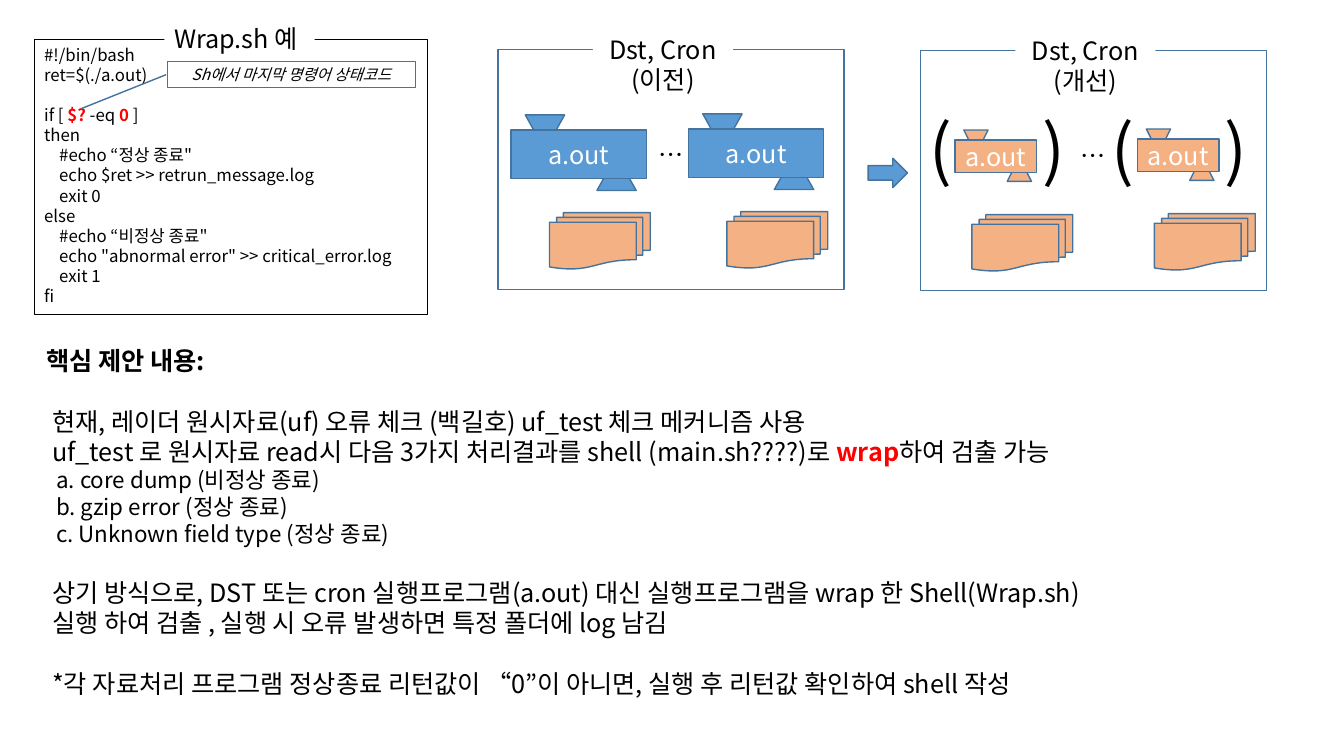
"""Build a slide on wrapping radar programs in a shell script to detect errors."""
from dataclasses import dataclass

from lxml.etree import SubElement
from pptx import Presentation
from pptx.dml.color import RGBColor
from pptx.enum.shapes import MSO_SHAPE
from pptx.enum.text import MSO_ANCHOR, MSO_AUTO_SIZE, PP_ALIGN
from pptx.oxml.ns import qn
from pptx.util import Inches, Pt


@dataclass(frozen=True)
class Theme:
    font: str = "Noto Sans CJK KR"
    black: str = "000000"
    white: str = "FFFFFF"
    red: str = "FF0000"
    blue: str = "5B9BD5"
    orange: str = "F4B183"
    outline: str = "43739E"
    code: float = 12
    note: float = 11
    item: float = 16
    body: float = 18
    bracket: float = 48
    leading: float = 1.2


@dataclass(frozen=True)
class Line:
    spans: tuple
    size: float
    indent: float = 0
    gap: bool = False
    bold: bool = False
    italic: bool = False
    color: str = Theme.black


@dataclass(frozen=True)
class Strong:
    text: str


THEME = Theme()

CODE = [
    ("#!/bin/bash",),
    ("ret=$(./a.out)",),
    ("if [ ", Strong("$?"), " -eq ", Strong("0"), " ]"),
    ("then",),
    ("    #echo “정상 종료\"",),
    ("    echo $ret >> retrun_message.log",),
    ("    exit 0",),
    ("else",),
    ("    #echo “비정상 종료\"",),
    ("    echo \"abnormal error\" >> critical_error.log",),
    ("    exit 1",),
    ("fi",),
]
CODE_GAP_BEFORE = 2

HEADING = "핵심 제안 내용:"
BODY = [
    (("현재, 레이더 원시자료(uf) 오류 체크 (백길호) uf_test 체크 메커니즘 사용",), True),
    (("uf_test 로 원시자료 read시 다음 3가지 처리결과를 shell (main.sh????)로 ",
      Strong("wrap"), "하여 검출 가능"), False),
    ("a. core dump (비정상 종료)", "b. gzip error (정상 종료)",
     "c. Unknown field type (정상 종료)"),
    (("상기 방식으로, DST 또는 cron 실행프로그램(a.out) 대신 실행프로그램을 wrap 한 Shell(Wrap.sh)",), True),
    (("실행 하여 검출 , 실행 시 오류 발생하면 특정 폴더에 log 남김",), False),
    (("*각 자료처리 프로그램 정상종료 리턴값이 “0”이 아니면, 실행 후 리턴값 확인하여 shell 작성",), True),
]
BODY_INDENT, ITEM_INDENT = 0.06, 0.1

PANELS = [("Dst, Cron (이전)", 4.94, 0.49), ("Dst, Cron (개선)", 9.13, 0.5)]

LARGE = {"size": (1.34, 0.48), "funnel": (0.39, 0.35), "inlet": (0.14, -0.15),
         "outlet": (0.85, 0.25), "pages": (0.38, 0.82), "fill": THEME.blue}
SMALL = {"size": (0.81, 0.32), "funnel": (0.24, 0.24), "inlet": (0.09, -0.1),
         "outlet": (0.52, 0.17), "pages": (0.17, 0.74), "fill": THEME.orange}
PROGRAMS = [(6.83, 1.28, LARGE), (5.07, 1.29, LARGE), (9.47, 1.39, SMALL), (11.28, 1.38, SMALL)]
BRACKETS = [("(", -0.35), (")", 0.77)]


def rgb(color):
    return RGBColor.from_string(color)


def write(box, lines, align=PP_ALIGN.LEFT, anchor=MSO_ANCHOR.TOP, grow=True, wrap=True):
    frame = box.text_frame
    frame.word_wrap = wrap
    frame.vertical_anchor = anchor
    frame.auto_size = MSO_AUTO_SIZE.SHAPE_TO_FIT_TEXT if grow else MSO_AUTO_SIZE.NONE
    for index, line in enumerate(lines):
        para = frame.paragraphs[0] if index == 0 else frame.add_paragraph()
        para.alignment = align
        if line.gap:
            para.space_before = Pt(line.size * THEME.leading)
        if line.indent:
            para._p.get_or_add_pPr().set("marL", str(Inches(line.indent)))
        font = para.font
        font.name, font.size = THEME.font, Pt(line.size)
        font.bold, font.italic = line.bold, line.italic
        font.color.rgb = rgb(line.color)
        SubElement(font._element, qn("a:ea"), typeface=THEME.font)
        for piece in line.spans:
            span = para.add_run()
            if isinstance(piece, Strong):
                span.text = piece.text
                span.font.bold = True
                span.font.color.rgb = rgb(THEME.red)
            else:
                span.text = piece


def draw(shapes, kind, left, top, width, height, fill=None, line=None, weight=1):
    box = shapes.add_shape(kind, Inches(left), Inches(top), Inches(width), Inches(height))
    box.shadow.inherit = False
    if fill:
        box.fill.solid()
        box.fill.fore_color.rgb = rgb(fill)
    else:
        box.fill.background()
    if line:
        box.line.color.rgb = rgb(line)
        box.line.width = Pt(weight)
    else:
        box.line.fill.background()
    return box


def add_text(page, left, top, width, height, lines, wrap=True):
    box = page.shapes.add_textbox(Inches(left), Inches(top), Inches(width), Inches(height))
    write(box, lines, wrap=wrap)


def add_script(page):
    box = draw(page.shapes, MSO_SHAPE.RECTANGLE, 0.34, 0.39, 3.9, 2.73, line=THEME.black, weight=0.75)
    write(box, [Line(spans, THEME.code, gap=index == CODE_GAP_BEFORE)
                for index, spans in enumerate(CODE)])
    title = draw(page.shapes, MSO_SHAPE.RECTANGLE, 1.63, 0.18, 1.49, 0.4, THEME.white)
    write(title, [Line(("Wrap.sh 예",), THEME.body)])
    callout = draw(page.shapes, MSO_SHAPE.LINE_CALLOUT_1, 1.66, 0.61, 2.46, 0.26, line=THEME.outline)
    for index, value in enumerate((0.507, -0.005, 1.805, -0.348)):
        callout.adjustments[index] = value
    write(callout, [Line(("Sh에서 마지막 명령어 상태코드",), THEME.note, italic=True)],
          PP_ALIGN.CENTER, MSO_ANCHOR.MIDDLE, grow=False)


def add_proposal(page):
    lines = [Line((HEADING,), THEME.body, bold=True)]
    for entry in BODY:
        if isinstance(entry[0], str):
            lines += [Line((item,), THEME.item, ITEM_INDENT) for item in entry]
        else:
            spans, gap = entry
            lines.append(Line(spans, THEME.body, BODY_INDENT, gap))
    add_text(page, 0.36, 3.38, 11.5, 3.74, lines)


def add_panel(page, name, left, top):
    draw(page.shapes, MSO_SHAPE.RECTANGLE, left, top, 3.43, 2.38, line=THEME.outline)
    title = draw(page.shapes, MSO_SHAPE.RECTANGLE, left + 0.94, top - 0.2, 1.39, 0.71, THEME.white)
    write(title, [Line((name,), THEME.body)], PP_ALIGN.CENTER)
    add_text(page, left + 1.49, top + 0.84, 0.39, 0.4, [Line(("…",), THEME.body)], wrap=False)


def add_program(page, left, top, style):
    shapes = page.shapes.add_group_shape().shapes
    pieces = [
        (MSO_SHAPE.FLOWCHART_MULTIDOCUMENT, style["pages"], (1, 0.56), THEME.orange),
        (MSO_SHAPE.FLOWCHART_MERGE, style["inlet"], style["funnel"], style["fill"]),
        (MSO_SHAPE.FLOWCHART_EXTRACT, style["outlet"], style["funnel"], style["fill"]),
        (MSO_SHAPE.RECTANGLE, (0, 0), style["size"], style["fill"]),
    ]
    for kind, (across, down), size, fill in pieces:
        box = draw(shapes, kind, left + across, top + down, *size, fill, THEME.outline)
    write(box, [Line(("a.out",), THEME.body, color=THEME.white)],
          PP_ALIGN.CENTER, MSO_ANCHOR.MIDDLE, grow=False)
    if style is SMALL:
        for mark, across in BRACKETS:
            add_text(page, left + across, 1.02, 0.77, 0.91, [Line((mark,), THEME.bracket)])


def main():
    deck = Presentation()
    deck.slide_width, deck.slide_height = Inches(13.33), Inches(7.5)
    page = deck.slides.add_slide(deck.slide_layouts[6])
    add_script(page)
    add_proposal(page)
    for panel in PANELS:
        add_panel(page, *panel)
    for program in PROGRAMS:
        add_program(page, *program)
    draw(page.shapes, MSO_SHAPE.RIGHT_ARROW, 8.61, 1.57, 0.39, 0.29, THEME.blue, THEME.outline)
    deck.save("out.pptx")


if __name__ == "__main__":
    main()
